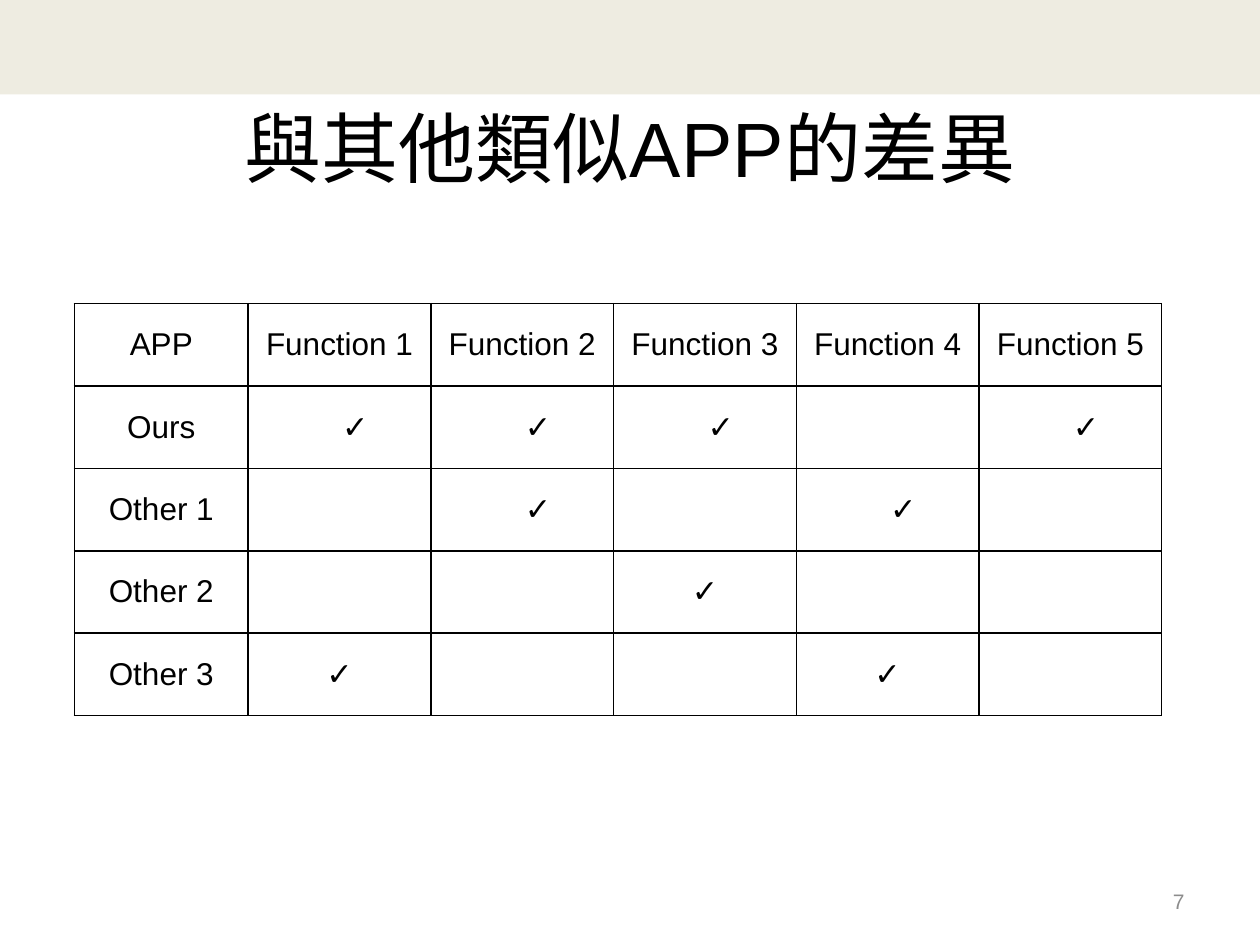
from dataclasses import dataclass

from lxml import etree
from pptx import Presentation
from pptx.dml.color import RGBColor
from pptx.enum.shapes import MSO_SHAPE
from pptx.enum.text import MSO_ANCHOR, MSO_AUTO_SIZE, PP_ALIGN
from pptx.oxml.ns import qn
from pptx.util import Inches, Pt

RECTANGLE = MSO_SHAPE.RECTANGLE
MIDDLE, BOTTOM = MSO_ANCHOR.MIDDLE, MSO_ANCHOR.BOTTOM
CENTER, RIGHT = PP_ALIGN.CENTER, PP_ALIGN.RIGHT
NO_AUTOFIT = MSO_AUTO_SIZE.NONE

SLIDE_WIDTH, SLIDE_HEIGHT = 10, 7.5
INSET = Inches(0.1)
CHECK = "✓"
CHECK_INDENT = Inches(0.25)
FUNCTION_COUNT = 5
FIRST_COLUMN, FUNCTION_COLUMN, TABLE_HEIGHT = 1.38, 1.45, 3.27


@dataclass(frozen=True)
class Theme:
    """Colours, font and type sizes of the slide."""
    font: str = "Arial"
    band: str = "EEECE1"
    text: str = "000000"
    muted: str = "8C8C8C"
    title_size: int = 44
    table_size: int = 18
    number_size: int = 12
    border_width: int = 1


THEME = Theme()

# Application name, functions it offers, indent of its check marks
APPLICATIONS = (
    ("Ours", {1, 2, 3, 5}, CHECK_INDENT),
    ("Other 1", {2, 4}, CHECK_INDENT),
    ("Other 2", {3}, 0),
    ("Other 3", {1, 4}, 0),
)


def add_run(paragraph, text, size, color=THEME.text, alignment=CENTER):
    """Add one formatted run and align its paragraph."""
    paragraph.alignment = alignment
    run = paragraph.add_run()
    run.text = text
    run.font.name = THEME.font
    run.font.size = Pt(size)
    run.font.color.rgb = RGBColor.from_string(color)


def add_band(slide):
    """Draw the plain band across the top tenth of the slide."""
    band = slide.shapes.add_shape(
        RECTANGLE, 0, 0, Inches(SLIDE_WIDTH), Inches(SLIDE_HEIGHT / 10))
    band.shadow.inherit = False
    band.fill.solid()
    band.fill.fore_color.rgb = RGBColor.from_string(THEME.band)
    band.line.fill.background()


def set_title(slide, text):
    """Place and fill the title placeholder."""
    title = slide.shapes.title
    title.left, title.top = Inches(0.5), Inches(0.76)
    title.width, title.height = Inches(9), Inches(0.87)
    frame = title.text_frame
    frame.auto_size = NO_AUTOFIT
    frame.vertical_anchor = BOTTOM
    frame.margin_left = frame.margin_right = INSET
    frame.margin_top = frame.margin_bottom = INSET
    add_run(frame.paragraphs[0], text, THEME.title_size)


def add_page_number(slide, number):
    """Write the page number at the bottom right."""
    box = slide.shapes.add_textbox(
        Inches(7.17), Inches(6.95), Inches(2.33), Inches(0.4))
    frame = box.text_frame
    frame.word_wrap = True
    frame.vertical_anchor = MIDDLE
    add_run(frame.paragraphs[0], str(number), THEME.number_size,
            THEME.muted, RIGHT)


def format_cell(cell):
    """Give a cell solid borders, no fill, equal insets and a middle anchor."""
    cell.vertical_anchor = MIDDLE
    cell.margin_left = cell.margin_right = INSET
    cell.margin_top = cell.margin_bottom = INSET
    properties = cell._tc.get_or_add_tcPr()
    for side in ("lnL", "lnR", "lnT", "lnB"):
        line = etree.SubElement(properties, qn(f"a:{side}"),
                                w=str(Pt(THEME.border_width)))
        fill = etree.SubElement(line, qn("a:solidFill"))
        etree.SubElement(fill, qn("a:srgbClr"), val=THEME.text)
    cell.fill.background()


def write_cell(cell, text, indent=0):
    """Write centred table text, moved by an optional left indent."""
    paragraph = cell.text_frame.paragraphs[0]
    add_run(paragraph, text, THEME.table_size)
    if indent:
        properties = paragraph._p.get_or_add_pPr()
        properties.set("marL", str(indent))
        properties.set("indent", "0")


def add_comparison_table(slide):
    """Add the table that compares the functions of the applications."""
    widths = [FIRST_COLUMN] + [FUNCTION_COLUMN] * FUNCTION_COUNT
    row_count = len(APPLICATIONS) + 1
    table = slide.shapes.add_table(
        row_count, len(widths), Inches(0.59), Inches(2.41),
        Inches(sum(widths)), Inches(TABLE_HEIGHT)).table
    table.first_row = table.horz_banding = False
    for column, width in zip(table.columns, widths):
        column.width = Inches(width)
    for row in table.rows:
        row.height = Inches(TABLE_HEIGHT / row_count)
    for cell in table.iter_cells():
        format_cell(cell)

    write_cell(table.cell(0, 0), "APP")
    for function in range(1, FUNCTION_COUNT + 1):
        write_cell(table.cell(0, function), f"Function {function}")
    for row, (name, functions, indent) in enumerate(APPLICATIONS, start=1):
        write_cell(table.cell(row, 0), name)
        for function in sorted(functions):
            write_cell(table.cell(row, function), CHECK, indent)


def main():
    """Build the slide and save it."""
    presentation = Presentation()
    presentation.slide_width = Inches(SLIDE_WIDTH)
    presentation.slide_height = Inches(SLIDE_HEIGHT)
    slide = presentation.slides.add_slide(
        presentation.slide_layouts.get_by_name("Title Only"))
    add_band(slide)
    set_title(slide, "與其他類似APP的差異")
    add_page_number(slide, 7)
    add_comparison_table(slide)
    presentation.save("out.pptx")


main()
